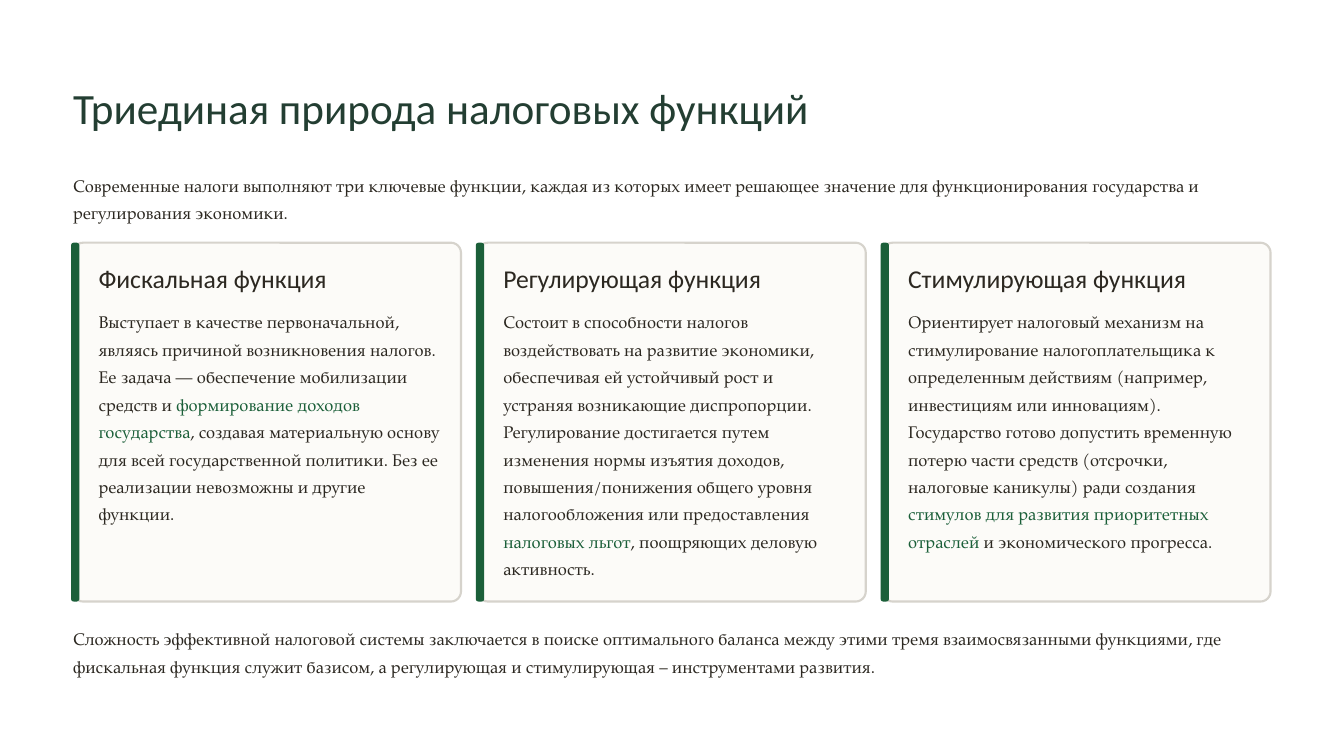
from pptx import Presentation
from pptx.dml.color import RGBColor
from pptx.enum.shapes import MSO_SHAPE
from pptx.enum.text import MSO_ANCHOR, MSO_AUTO_SIZE, PP_ALIGN
from pptx.util import Cm, Pt

# Content: plain text, or (text before, highlighted text, text after)
TITLE = "Триединая природа налоговых функций"
INTRO = (
    "Современные налоги выполняют три ключевые функции, каждая из которых имеет "
    "решающее значение для функционирования государства и регулирования экономики."
)
CARDS = [
    ("Фискальная функция", (
        "Выступает в качестве первоначальной, являясь причиной возникновения налогов. "
        "Ее задача — обеспечение мобилизации средств и ",
        "формирование доходов государства",
        ", создавая материальную основу для всей государственной политики. "
        "Без ее реализации невозможны и другие функции.")),
    ("Регулирующая функция", (
        "Состоит в способности налогов воздействовать на развитие экономики, "
        "обеспечивая ей устойчивый рост и устраняя возникающие диспропорции. "
        "Регулирование достигается путем изменения нормы изъятия доходов, "
        "повышения/понижения общего уровня налогообложения или предоставления ",
        "налоговых льгот",
        ", поощряющих деловую активность.")),
    ("Стимулирующая функция", (
        "Ориентирует налоговый механизм на стимулирование налогоплательщика к "
        "определенным действиям (например, инвестициям или инновациям). "
        "Государство готово допустить временную потерю части средств (отсрочки, "
        "налоговые каникулы) ради создания ",
        "стимулов для развития приоритетных отраслей",
        " и экономического прогресса.")),
]
CONCLUSION = (
    "Сложность эффективной налоговой системы заключается в поиске оптимального баланса "
    "между этими тремя взаимосвязанными функциями, где фискальная функция служит "
    "базисом, а регулирующая и стимулирующая – инструментами развития."
)

# Formats
INK, GREEN, CARD_FILL, CARD_LINE = "2C2821", "1B5F39", "FCFBF8", "D6D3CC"
TITLE_STYLE = {"name": "Calibri", "size": Pt(37), "color": "233E32", "leading": Pt(46)}
HEADING_STYLE = {"name": "Calibri", "size": Pt(22), "color": INK, "leading": Pt(27.5)}
BODY_STYLE = {"name": "TeX Gyre Pagella", "size": Pt(14.5), "color": INK, "leading": Pt(23.5)}
FRAME = {"margin_left": 0, "margin_top": 0, "margin_right": 0, "margin_bottom": 0,
         "auto_size": MSO_AUTO_SIZE.NONE, "vertical_anchor": MSO_ANCHOR.TOP}

# Layout in centimetres
LEFT, WIDTH = 2.21, 36.22
CARD_TOP, CARD_WIDTH, CARD_HEIGHT, CARD_GAP = 7.34, 11.73, 10.85, 0.51
BAR_WIDTH, BAR_SHIFT = 0.25, 0.06
TEXT_INSET, TEXT_WIDTH = 0.77, 10.36


def paint(color_format, color):
    color_format.rgb = RGBColor.from_string(color)


def write(box, text, style, wrap=True):
    frame = box.text_frame
    for name, value in FRAME.items():
        setattr(frame, name, value)
    frame.word_wrap = wrap
    para = frame.paragraphs[0]
    para.alignment = PP_ALIGN.LEFT
    para.line_spacing = style["leading"]
    parts = (text,) if isinstance(text, str) else text
    for number, part in enumerate(parts):
        span = para.add_run()
        span.text = part
        for name in ("name", "size"):
            setattr(span.font, name, style[name])
        paint(span.font.color, GREEN if number == 1 else style["color"])


def add_text(page, place, text, style, wrap=True):
    box = page.shapes.add_textbox(*map(Cm, place))
    write(box, text, style, wrap)


def add_panel(page, place, rounding, fill, line=None):
    panel = page.shapes.add_shape(MSO_SHAPE.ROUNDED_RECTANGLE, *map(Cm, place))
    panel.shadow.inherit = False
    panel.adjustments[0] = rounding
    panel.fill.solid()
    paint(panel.fill.fore_color, fill)
    if line:
        paint(panel.line.color, line)
        panel.line.width = Pt(1.8)
    else:
        panel.line.fill.background()


def add_card(page, left, heading, text):
    add_panel(page, (left, CARD_TOP, CARD_WIDTH, CARD_HEIGHT), 0.028, CARD_FILL, CARD_LINE)
    add_panel(page, (left - BAR_SHIFT, CARD_TOP, BAR_WIDTH, CARD_HEIGHT), 0.31, GREEN)
    text_left = left + TEXT_INSET
    add_text(page, (text_left, 7.92, TEXT_WIDTH, 0.99), heading, HEADING_STYLE, wrap=False)
    add_text(page, (text_left, 9.22, TEXT_WIDTH, 8.38), text, BODY_STYLE)


def main():
    deck = Presentation()
    deck.slide_width, deck.slide_height = Cm(40.64), Cm(22.86)
    page = deck.slides.add_slide(deck.slide_layouts[5])

    # Title and introduction
    title = page.shapes.title
    title.left, title.top, title.width, title.height = map(Cm, (LEFT, 2.39, 25.55, 1.63))
    write(title, TITLE, TITLE_STYLE, wrap=False)
    add_text(page, (LEFT, 5.08, WIDTH, 1.68), INTRO, BODY_STYLE)

    # Three equal cards
    for column, (heading, text) in enumerate(CARDS):
        add_card(page, LEFT + column * (CARD_WIDTH + CARD_GAP), heading, text)

    # Conclusion
    add_text(page, (LEFT, 18.8, WIDTH, 1.68), CONCLUSION, BODY_STYLE)
    deck.save("out.pptx")


if __name__ == "__main__":
    main()
